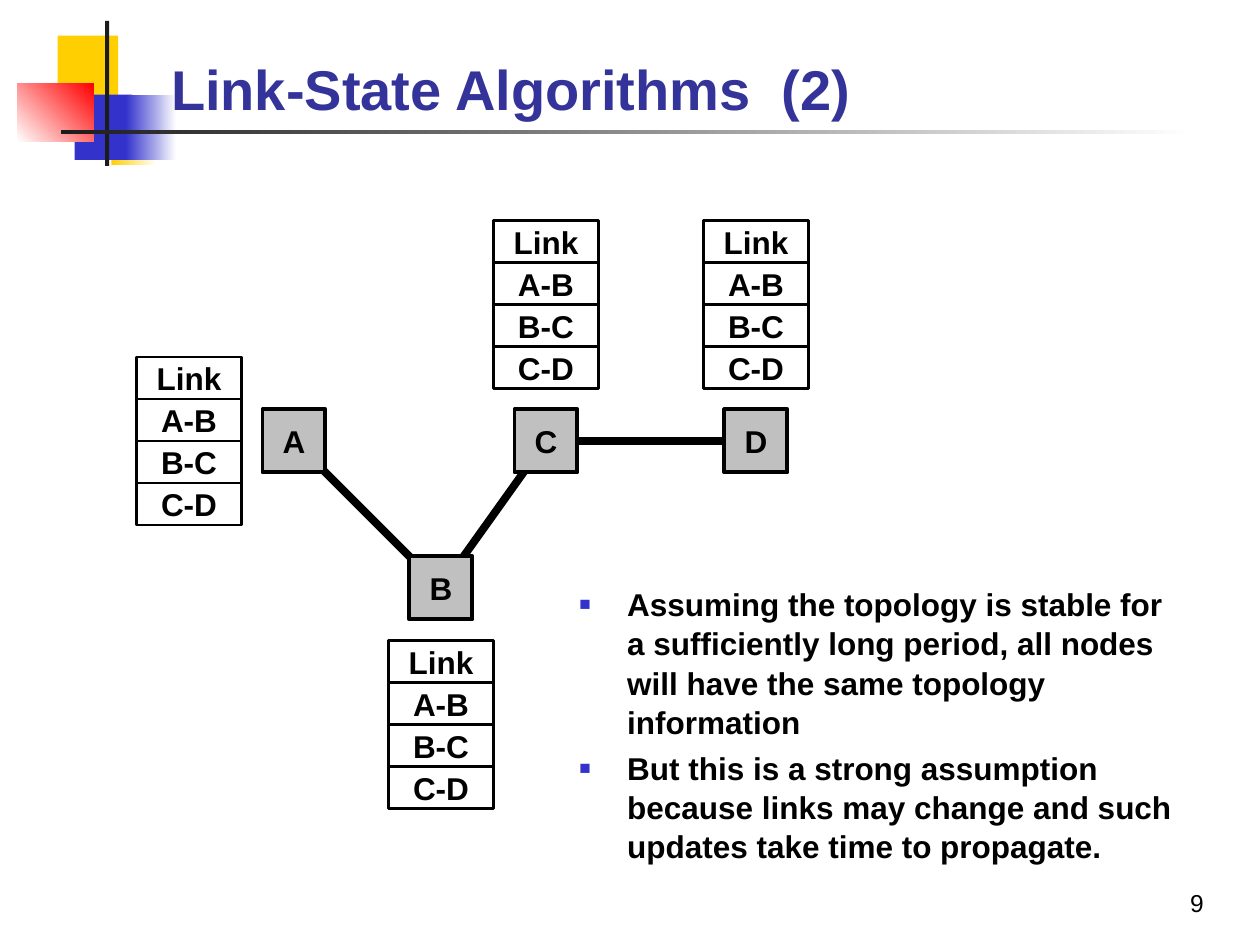
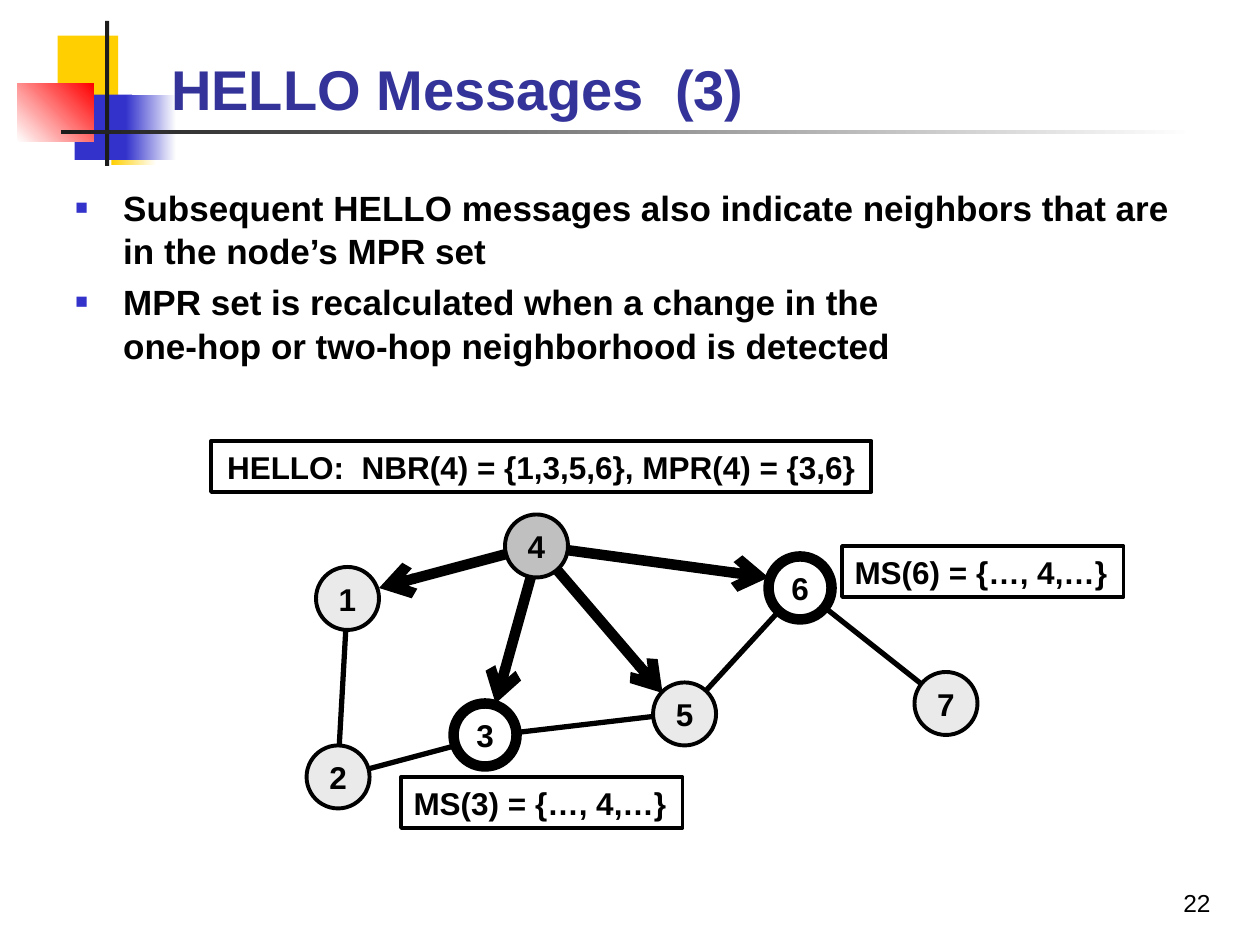
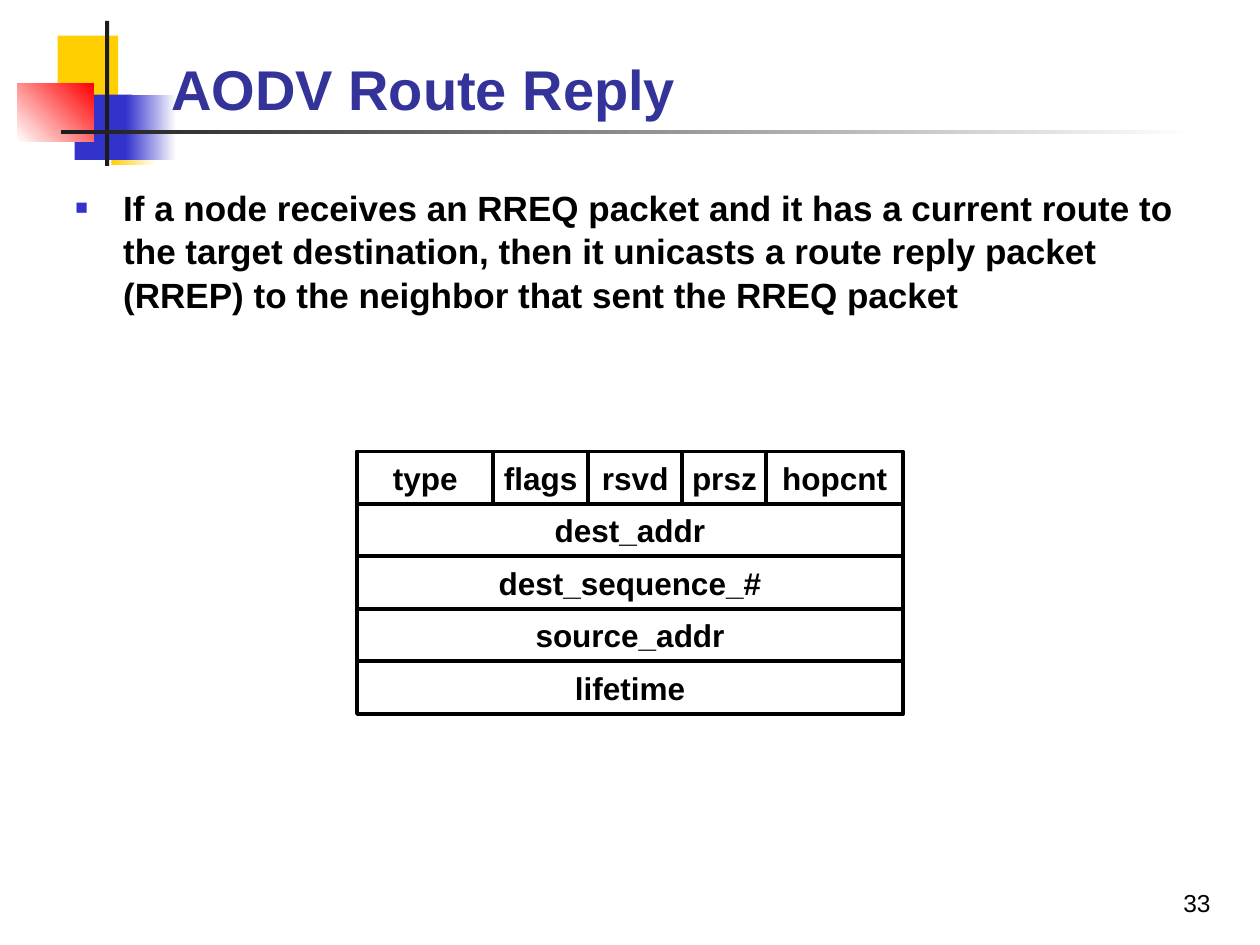
"""Build three slides on routing, set on a grid of 120 columns by 90 rows."""
from dataclasses import dataclass
from itertools import accumulate
from typing import Optional

from lxml.etree import SubElement as Sub
from pptx import Presentation
from pptx.dml.color import RGBColor as RGB
from pptx.enum.shapes import MSO_CONNECTOR as Conn, MSO_SHAPE as Form
from pptx.enum.text import MSO_ANCHOR as Anchor, PP_ALIGN as Align
from pptx.oxml.ns import qn
from pptx.util import Inches, Pt

WIDE, HIGH = Inches(10), Inches(7.5)
COLS, ROWS = 120, 90
FONT = "Arial"
BLACK = RGB(0, 0, 0)
WHITE = RGB(0xFF, 0xFF, 0xFF)
GRAY = RGB(0xC0, 0xC0, 0xC0)
PALE = RGB(0xEA, 0xEA, 0xEA)
GOLD = RGB(0xFF, 0xCF, 0x01)
BLUE = RGB(0x33, 0x33, 0xCC)
NAVY = RGB(0x33, 0x33, 0x99)
RED = RGB(0xFF, 0, 0)
INK = RGB(0x1C, 0x1C, 0x1C)


@dataclass(frozen=True)
class Area:
    col: float
    row: float
    cols: float
    rows: float

    def place(self) -> tuple[int, int, int, int]:
        return (*spot(self.col, self.row), *spot(self.cols, self.rows))


@dataclass(frozen=True)
class Block:
    area: Area
    start: RGB
    end: Optional[RGB] = None
    angle: int = 0


@dataclass(frozen=True)
class Box:
    text: str
    area: Area
    fill: Optional[RGB] = WHITE
    line: float = 2.25
    form: Form = Form.RECTANGLE
    align: Align = Align.CENTER


@dataclass(frozen=True)
class Edge:
    start: tuple[float, float]
    end: tuple[float, float]
    width: float = 3
    arrow: bool = False


TITLE = Area(15.1, 2.16, 102.2, 10)
BODY = Area(6, 17, 109, 68)
NOTE = Area(54, 55, 60, 26)
PAGE = Area(108, 84, 12, 6)
BAND = (
    Block(Area(5.5, 3.4, 5.76, 6.24), GOLD),
    Block(Area(10.6, 9.5, 4.3, 6.24), GOLD, WHITE),
    Block(Area(7.1, 9, 5.5, 6.24), BLUE),
    Block(Area(12, 9, 4.8, 6.24), BLUE, WHITE),
    Block(Area(1.65, 8, 7.3, 5.5), WHITE, RED, 45),
    Block(Area(10, 2, 0.4, 13.8), INK),
    Block(Area(5.8, 12.4, 108, 0.4), INK, WHITE),
)

LINKS = ("Link", "A-B", "B-C", "C-D")
LISTS = ((13, 34), (47, 21), (67, 21), (37, 61))
HOSTS = {"A": (25, 39), "B": (39, 53), "C": (49, 39), "D": (69, 39)}
WIRES = (
    Edge((42, 56), (52, 42), 4.5),
    Edge((28, 42), (42, 56), 4.5),
    Edge((53, 42), (72, 42), 4.5),
)

PEERS = {"1": (30.1, 54), "2": (29.2, 71), "5": (62.2, 65), "7": (87.1, 64)}
RELAYS = {"3": (43.2, 67), "6": (73.2, 53)}
SENDER = {"4": (48.1, 49)}
HOPS = (
    Edge((76.2, 56), (90.1, 67)),
    Edge((33.1, 57), (32.2, 73)),
    Edge((51.1, 52), (63.1, 66), 6, True),
    Edge((32.2, 74), (47.2, 70)),
    Edge((51.1, 52), (36.1, 56), 6, True),
    Edge((51.1, 53), (47.2, 67), 6, True),
    Edge((47.2, 70), (64.2, 68)),
    Edge((51.1, 52), (73.2, 55), 6, True),
    Edge((76.2, 56), (65.2, 68)),
)
SIGNS = (
    Box("HELLO:  NBR(4) = {1,3,5,6}, MPR(4) = {3,6}", Area(20.1, 42, 62.9, 4.85), None),
    Box("MS(6) = {…, 4,…}", Area(80.2, 52, 26.8, 4.85), None, align=Align.LEFT),
    Box("MS(3) = {…, 4,…}", Area(38.2, 74, 26.8, 4.85), None, align=Align.LEFT),
)

FIELDS = {"type": 13, "flags": 9, "rsvd": 9, "prsz": 8, "hopcnt": 13}
WORDS = ("dest_addr", "dest_sequence_#", "source_addr", "lifetime")


def spot(col: float, row: float) -> tuple[int, int]:
    """Turn a column and a row into lengths."""
    return round(col * WIDE / COLS), round(row * HIGH / ROWS)


def style(para, size: float, color: RGB = BLACK, bold: bool = True) -> None:
    """Format every run of a paragraph."""
    for run in para.runs:
        font = run.font
        font.name, font.size, font.bold = FONT, Pt(size), bold
        font.color.rgb = color


def draw_block(shapes, block: Block):
    """Draw one borderless block, plain or fading."""
    shape = shapes.add_shape(Form.RECTANGLE, *block.area.place())
    shape.shadow.inherit = False
    shape.line.fill.background()
    if block.end is None:
        shape.fill.solid()
        shape.fill.fore_color.rgb = block.start
    else:
        shape.fill.gradient()
        shape.fill.gradient_angle = block.angle
        for stop, color in zip(shape.fill.gradient_stops, (block.start, block.end)):
            stop.color.rgb = color
    return shape


def draw_box(shapes, box: Box) -> None:
    """Draw an outlined shape with its label."""
    shape = shapes.add_shape(box.form, *box.area.place())
    shape.shadow.inherit = False
    if box.fill is None:
        shape.fill.background()
    else:
        shape.fill.solid()
        shape.fill.fore_color.rgb = box.fill
    shape.line.color.rgb = BLACK
    shape.line.width = Pt(box.line)
    frame = shape.text_frame
    frame.text = box.text
    frame.word_wrap = False
    frame.vertical_anchor = Anchor.MIDDLE
    frame.paragraphs[0].alignment = box.align
    style(frame.paragraphs[0], 18)


def draw_nodes(shapes, nodes: dict, fill: RGB, form: Form, line: float = 2.25) -> None:
    """Draw equal nodes at their places."""
    for name, (col, row) in nodes.items():
        draw_box(shapes, Box(name, Area(col, row, 6, 6), fill, line, form))


def draw_edge(shapes, edge: Edge) -> None:
    """Draw a line, with an arrow at its end if asked."""
    link = shapes.add_connector(Conn.STRAIGHT, *spot(*edge.start), *spot(*edge.end))
    link.line.color.rgb = BLACK
    link.line.width = Pt(edge.width)
    props = link.element.spPr
    if edge.arrow:
        Sub(props.find(qn("a:ln")), qn("a:tailEnd"), type="arrow")
    Sub(props, qn("a:effectLst"))


def add_text(slide, area: Area):
    """Add a wrapping text box and return its frame."""
    frame = slide.shapes.add_textbox(*area.place()).text_frame
    frame.word_wrap = True
    return frame


def add_points(slide, area: Area, size: float, points: tuple[str, ...]) -> None:
    """Add a list with square bullets."""
    frame = add_text(slide, area)
    for i, point in enumerate(points):
        para = frame.add_paragraph() if i else frame.paragraphs[0]
        para.text = point
        para.line_spacing = 1.04
        para.space_before = Pt(size * 0.2)
        style(para, size)
        props = para._p.get_or_add_pPr()
        props.set("marL", str(Inches(0.38)))
        props.set("indent", str(-Inches(0.38)))
        Sub(Sub(props, qn("a:buClr")), qn("a:srgbClr"), val=str(BLUE))
        Sub(props, qn("a:buSzPct"), val="60000")
        Sub(props, qn("a:buFont"), typeface=FONT)
        Sub(props, qn("a:buChar"), char="■")


def add_slide(deck, title: str, page: int):
    """Add a slide with its title and page number."""
    slide = deck.slides.add_slide(deck.slide_layouts[5])
    head = slide.shapes.title
    head.left, head.top, head.width, head.height = TITLE.place()
    frame = head.text_frame
    frame.text = title
    frame.vertical_anchor = Anchor.BOTTOM
    frame.paragraphs[0].alignment = Align.LEFT
    style(frame.paragraphs[0], 32, NAVY)
    foot = add_text(slide, PAGE).paragraphs[0]
    foot.text = str(page)
    foot.alignment = Align.CENTER
    style(foot, 14, bold=False)
    return slide


def add_band(slide) -> None:
    """Draw the band and hand it to the layout that all slides share."""
    layout = slide.slide_layout.shapes.element
    for block in BAND:
        layout.append(draw_block(slide.shapes, block).element)


def link_slide(deck) -> None:
    """Show four hosts with equal link lists."""
    slide = add_slide(deck, "Link-State Algorithms  (2)", 9)
    add_band(slide)
    add_points(slide, NOTE, 18, (
        "Assuming the topology is stable for a sufficiently long period, "
        "all nodes will have the same topology information",
        "But this is a strong assumption because links may change "
        "and such updates take time to propagate.",
    ))
    for wire in WIRES:
        draw_edge(slide.shapes, wire)
    draw_nodes(slide.shapes, HOSTS, GRAY, Form.RECTANGLE)
    for col, row in LISTS:
        group = slide.shapes.add_group_shape()
        for i, text in enumerate(LINKS):
            draw_box(group.shapes, Box(text, Area(col, row + 4 * i, 10, 4), line=1.5))


def hello_slide(deck) -> None:
    """Show a node that sends to its neighbors."""
    slide = add_slide(deck, "HELLO Messages  (3)", 22)
    add_points(slide, BODY, 20, (
        "Subsequent HELLO messages also indicate neighbors that are "
        "in the node’s MPR set",
        "MPR set is recalculated when a change in the\n"
        "one-hop or two-hop neighborhood is detected",
    ))
    for hop in HOPS:
        draw_edge(slide.shapes, hop)
    draw_nodes(slide.shapes, PEERS, PALE, Form.OVAL)
    draw_nodes(slide.shapes, SENDER, GRAY, Form.OVAL)
    draw_nodes(slide.shapes, RELAYS, WHITE, Form.OVAL, 6)
    for sign in SIGNS:
        draw_box(slide.shapes, sign)


def reply_slide(deck) -> None:
    """Show the fields of a reply packet."""
    slide = add_slide(deck, "AODV Route Reply", 33)
    add_points(slide, BODY, 20, (
        "If a node receives an RREQ packet and it has a current route to "
        "the target destination, then it unicasts a route reply packet "
        "(RREP) to the neighbor that sent the RREQ packet",
    ))
    left, top, high = 34, 43, 5
    starts = accumulate(FIELDS.values(), initial=left)
    for (name, wide), col in zip(FIELDS.items(), starts):
        draw_box(slide.shapes, Box(name, Area(col, top, wide, high)))
    for i, word in enumerate(WORDS, 1):
        area = Area(left, top + high * i, sum(FIELDS.values()), high)
        draw_box(slide.shapes, Box(word, area))


def main() -> None:
    """Build and save the deck."""
    deck = Presentation()
    deck.slide_width, deck.slide_height = WIDE, HIGH
    link_slide(deck)
    hello_slide(deck)
    reply_slide(deck)
    deck.save("out.pptx")


if __name__ == "__main__":
    main()
